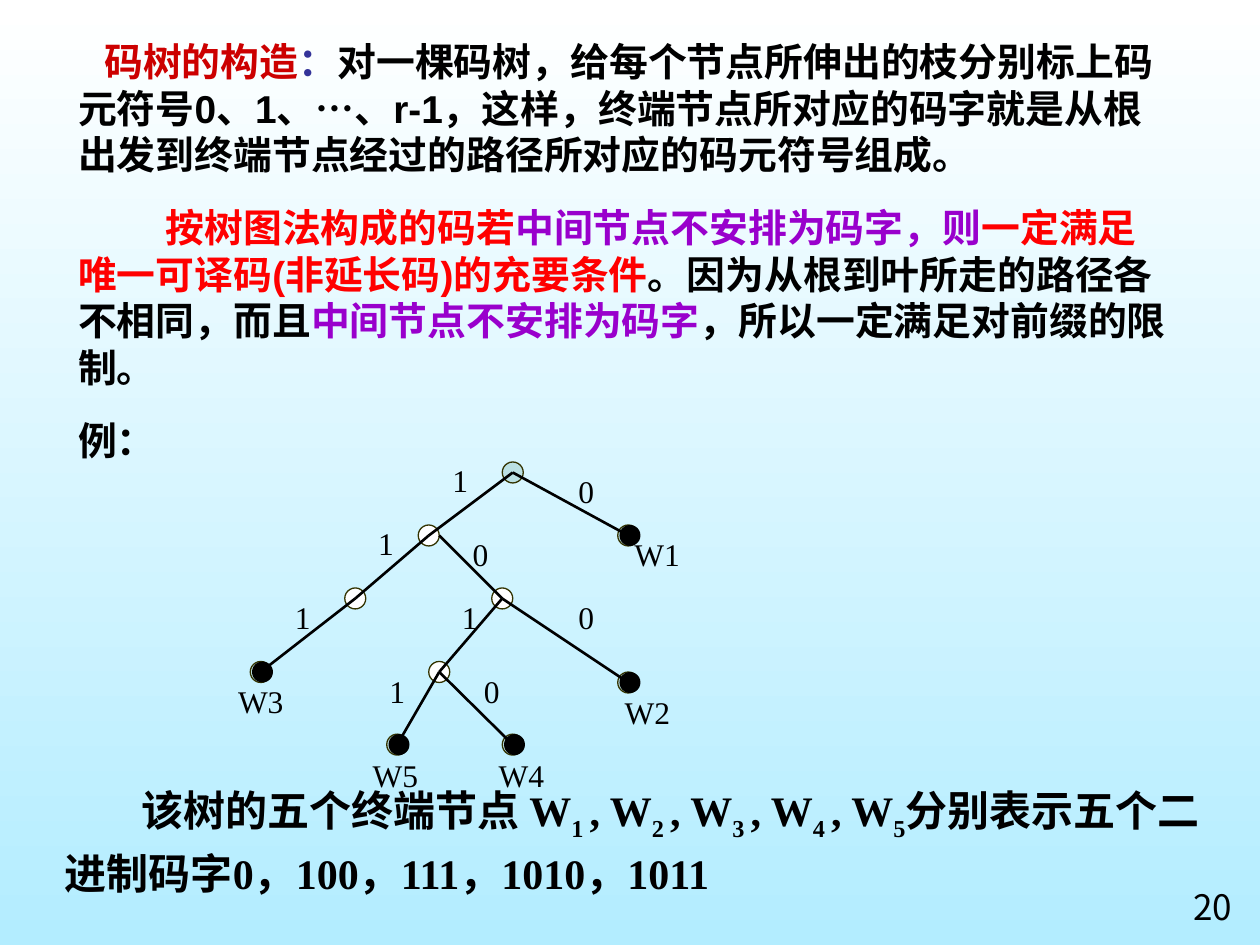
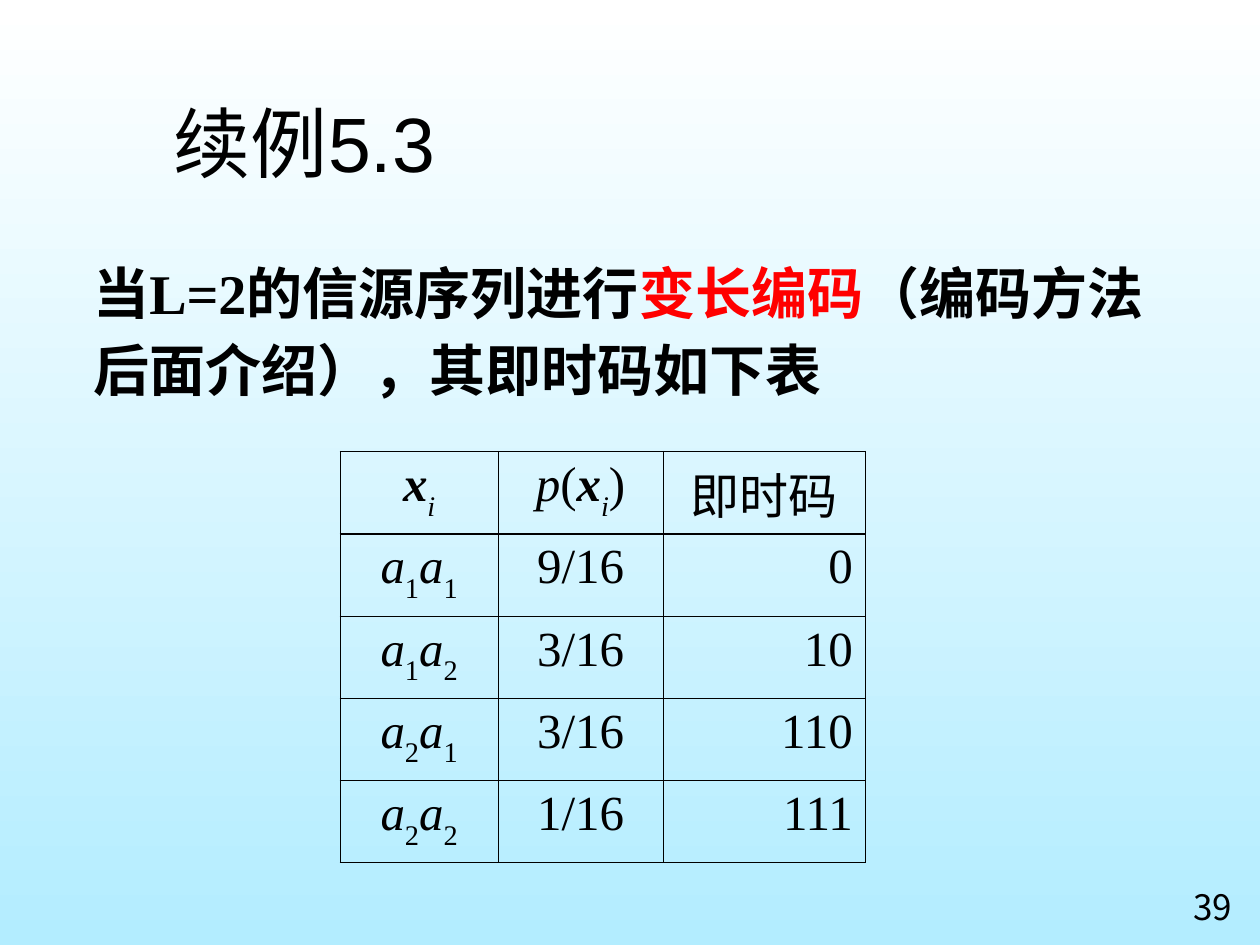
from lxml import etree
from pptx import Presentation
from pptx.dml.color import RGBColor
from pptx.enum.shapes import MSO_CONNECTOR, MSO_SHAPE
from pptx.enum.text import MSO_ANCHOR, MSO_AUTO_SIZE, PP_ALIGN
from pptx.oxml.ns import qn
from pptx.util import Pt

CENTER, LEFT, RIGHT = PP_ALIGN.CENTER, PP_ALIGN.LEFT, PP_ALIGN.RIGHT
TOP, MIDDLE = MSO_ANCHOR.TOP, MSO_ANCHOR.MIDDLE
OVAL, STRAIGHT = MSO_SHAPE.OVAL, MSO_CONNECTOR.STRAIGHT
NO_AUTOFIT = MSO_AUTO_SIZE.NONE

COLOURS = {name: RGBColor.from_string(value) for name, value in {
    "black": "000000", "white": "FFFFFF", "sky": "B3EDFF", "red": "FF0000",
    "dark red": "CC0000", "navy": "333399", "purple": "9900CC",
    "node": "BBE0E3", "node line": "333300"}.items()}
SERIF, SANS, CJK = "Times New Roman", "Arial", "Noto Sans CJK SC"


def write_spans(para, spans, size, font=SERIF, bold=False):
    """Add runs; each span is (text, changes to the basic look)."""
    for text, look in spans:
        span = para.add_run()
        span.text = text
        span.font.size = Pt(size)
        span.font.name = look.get("font", font)
        span.font.bold = look.get("bold", bold)
        span.font.italic = look.get("italic", False)
        span.font.color.rgb = COLOURS[look.get("colour", "black")]
        if "base" in look:
            span._r.get_or_add_rPr().set("baseline", str(look["base"] * 1000))


def add_text(page, place, paragraphs, size, font=SERIF, bold=False, align=LEFT,
             anchor=TOP, inset_top=3.6, inset_side=7.2, wrap=True):
    """Add a text box and return its paragraphs."""
    box = page.shapes.add_textbox(*[Pt(length) for length in place])
    frame = box.text_frame
    frame.word_wrap = wrap
    frame.vertical_anchor = anchor
    frame.margin_top = Pt(inset_top)
    frame.margin_left = frame.margin_right = Pt(inset_side)
    for index, spans in enumerate(paragraphs):
        para = frame.add_paragraph() if index else frame.paragraphs[0]
        para.alignment = align
        write_spans(para, spans, size, font, bold)
    return frame.paragraphs


# Deck with the shared background
deck = Presentation()
deck.slide_width, deck.slide_height = Pt(720), Pt(540)
background = deck.slide_master.background.fill
background.gradient()
background.gradient_angle = 270
for stop, colour in zip(background.gradient_stops, ("white", "sky")):
    stop.color.rgb = COLOURS[colour]

# Pages with their numbers
tree_page = deck.slides.add_slide(deck.slide_layouts[6])
table_page = deck.slides.add_slide(deck.slide_layouts[5])
for page, number in ((tree_page, "20"), (table_page, "39")):
    add_text(page, (666, 502.5, 54, 34.5), [[(number, {})]], 20, CJK, align=CENTER)

# Code tree page: explanation
red, purple = {"colour": "red"}, {"colour": "purple"}
explanation = [
    [("码树的构造", {"colour": "dark red"}), ("：", {"colour": "navy"}),
     ("对一棵码树，给每个节点所伸出的枝分别标上码元符号0、1、…、r-1，这样，"
      "终端节点所对应的码字就是从根出发到终端节点经过的路径所对应的码元符号组成。", {})],
    [("按树图法构成的码若", red), ("中间节点不安排为码字，则", purple),
     ("一定满足唯一可译码(非延长码)的充要条件", red),
     ("。因为从根到叶所走的路径各不相同，而且", {}),
     ("中间节点不安排为码字", purple), ("，所以一定满足对前缀的限制。", {})],
    [("例：", {})],
]
paras = add_text(tree_page, (22.5, 18, 655, 288), explanation, 22.2, SANS, True)
for index, (para, indent) in enumerate(zip(paras, (15, 50, 0))):
    para.space_before = Pt(15 if index else 0)
    properties = para._p.get_or_add_pPr()
    properties.set("marL", str(Pt(15)))
    properties.set("indent", str(Pt(indent)))

# Code tree page: conclusion
conclusion = [("该树的五个", {}), ("终端", {"font": "Cabin"}), ("节点 W", {})]
for index in range(1, 6):
    conclusion.append((f"{index} " if index < 5 else "5", {"base": -25}))
    if index < 5:
        conclusion.append((", W", {}))
conclusion.append(("分别表示五个二进制码字0，100，111，1010，1011", {}))
para = add_text(tree_page, (30, 445, 666, 71.5), [conclusion], 24, bold=True,
                anchor=MIDDLE, inset_top=0)[0]
para.line_spacing = 1.1
para._p.get_or_add_pPr().set("indent", str(Pt(44)))

# Code tree page: node centres, keyed by the path from the root
centres = {"": (293, 270), "1": (245, 306), "0": (359, 306), "11": (203, 342),
           "10": (287, 342), "111": (149, 384), "101": (251, 384),
           "100": (359, 390), "1011": (227, 425.5), "1010": (293, 425.5)}
# Leaf name and the place of its label
leaves = {"0": ("W1", 355.5, 306), "100": ("W2", 350, 396), "111": ("W3", 129, 390),
          "1010": ("W4", 278, 432), "1011": ("W5", 206, 432)}
# Place of the digit beside the branch that ends at each node
digits = {"0": (323.5, 270), "10": (263, 306), "100": (323.5, 342),
          "1010": (269.5, 384), "1": (251.5, 263.5), "11": (209, 299.5),
          "101": (257, 342), "111": (161.5, 342), "1011": (215.5, 384)}
diameter = 12

nodes = [(code, 0, "node" if code in leaves or not code else "white")
         for code in centres]
dots = [(code, 1, "black") for code in leaves]

# Outlined nodes first, then branches and labels, then the black leaf dots
for layer in (nodes, dots):
    for code, shift, colour in layer:
        x, y = centres[code]
        node = tree_page.shapes.add_shape(
            OVAL, Pt(x - diameter / 2 + shift), Pt(y - diameter / 2),
            Pt(diameter), Pt(diameter))
        node.shadow.inherit = False
        node.fill.solid()
        node.fill.fore_color.rgb = COLOURS[colour]
        if layer is dots:
            node.line.fill.background()
        else:
            node.line.color.rgb = COLOURS["node line"]
            node.line.width = Pt(0.75)
    if layer is dots:
        break
    for code in digits:
        x, y = centres[code[:-1]]
        if code == "10":
            x += diameter / 2
        branch = tree_page.shapes.add_connector(
            STRAIGHT, Pt(x), Pt(y), *[Pt(value) for value in centres[code]])
        branch.line.color.rgb = COLOURS["black"]
        branch.line.width = Pt(1.5)
        etree.SubElement(branch._element.spPr, qn("a:effectLst"))
    labels = [(code[-1], *place, 23) for code, place in digits.items()]
    labels += [(*leaf, 40) for leaf in leaves.values()]
    for text, x, y, width in labels:
        add_text(tree_page, (x, y, width, 25), [[(text, {})]], 18, align=CENTER,
                 anchor=MIDDLE, inset_top=0, inset_side=0, wrap=False)

# Table page: title
title = table_page.shapes.title
title.left, title.top, title.width, title.height = Pt(92.2), Pt(36), Pt(612), Pt(90)
title.text_frame.text = "续例5.3"
title.text_frame.auto_size = NO_AUTOFIT
title.text_frame.vertical_anchor = MIDDLE
para = title.text_frame.paragraphs[0]
para.alignment = LEFT
span = para.runs[0]
span.font.name, span.font.size = SANS, Pt(44)
span.font.color.rgb = COLOURS["black"]

# Table page: introduction
introduction = [("当L=2的信源序列进行", {}), ("变长编码", red),
                ("（编码方法后面介绍），其即时码如下表", {})]
add_text(table_page, (46.2, 138.4, 628, 103), [introduction], 32,
         bold=True)[0].line_spacing = 1.15

# Table page: instantaneous codes
italic, subscript = {"italic": True}, {"base": -30}
symbol = [("x", {"italic": True, "bold": True}), ("i", {"italic": True, "base": -30})]
rows = [[symbol, [("p", italic), ("(", {}), *symbol, (")", {})], [("即时码", {})]]]
for first, second, chance, code in (("1", "1", "9/16", "0"), ("1", "2", "3/16", "10"),
                                    ("2", "1", "3/16", "110"), ("2", "2", "1/16", "111")):
    pair = [("a", italic), (first, subscript), ("a", italic), (second, subscript)]
    rows.append([pair, [(chance, {})], [(code, {})]])

widths, row_height = (90, 94.5, 115.5), 47
table = table_page.shapes.add_table(
    len(rows), len(widths), Pt(194.5), Pt(258), Pt(sum(widths)),
    Pt(row_height * len(rows))).table
table.first_row = table.horz_banding = False
for column, width in zip(table.columns, widths):
    column.width = Pt(width)
last_row, last_column = len(rows) - 1, len(widths) - 1
for row, cells in enumerate(rows):
    table.rows[row].height = Pt(row_height)
    for column, spans in enumerate(cells):
        cell = table.cell(row, column)
        para = cell.text_frame.paragraphs[0]
        para.alignment = RIGHT if row and column == last_column else CENTER
        write_spans(para, spans, 28)
        # Heavier lines around the table and under its head
        heavy = {"a:lnL": column == 0, "a:lnR": column == last_column,
                 "a:lnT": row < 2, "a:lnB": row in (0, last_row)}
        properties = cell._tc.get_or_add_tcPr()
        for side, is_heavy in heavy.items():
            line = etree.SubElement(properties, qn(side),
                                    w=str(Pt(0.96 if is_heavy else 0.45)))
            fill = etree.SubElement(line, qn("a:solidFill"))
            etree.SubElement(fill, qn("a:srgbClr"), val=str(COLOURS["black"]))
        cell.fill.background()

deck.save("out.pptx")
